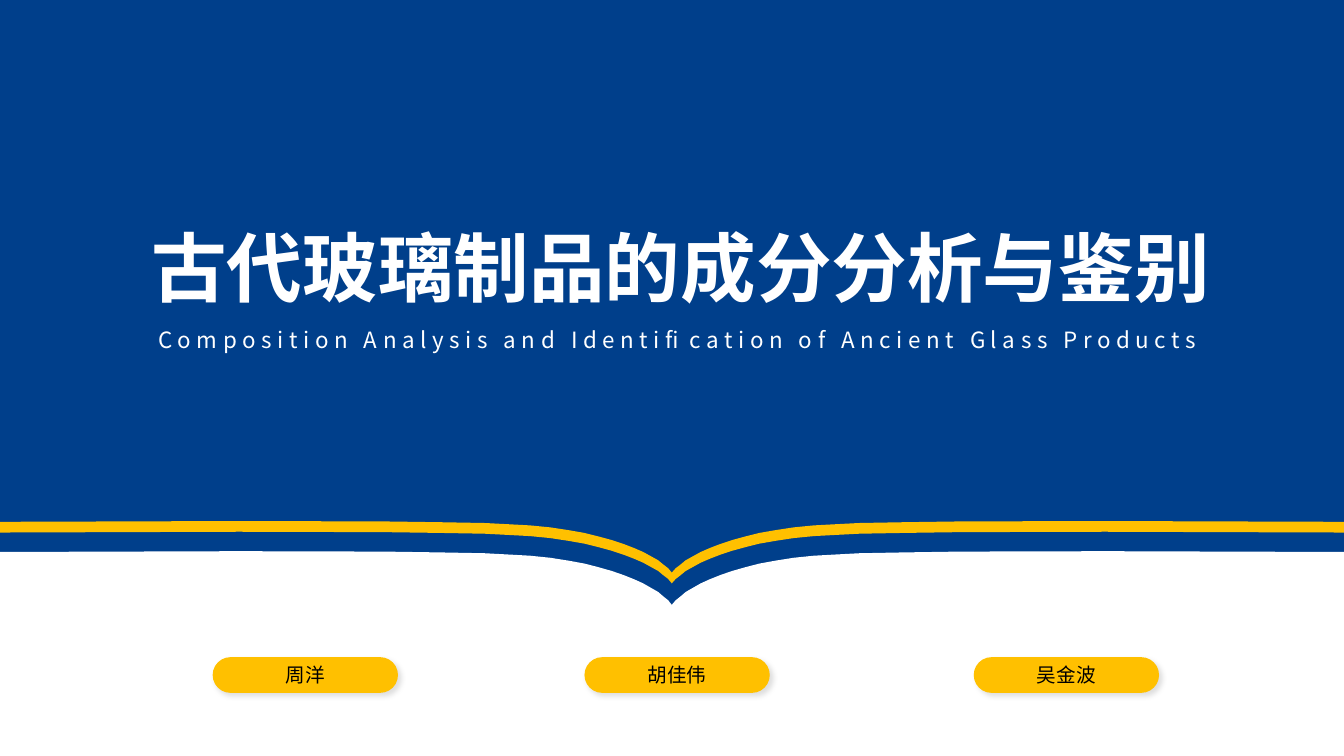
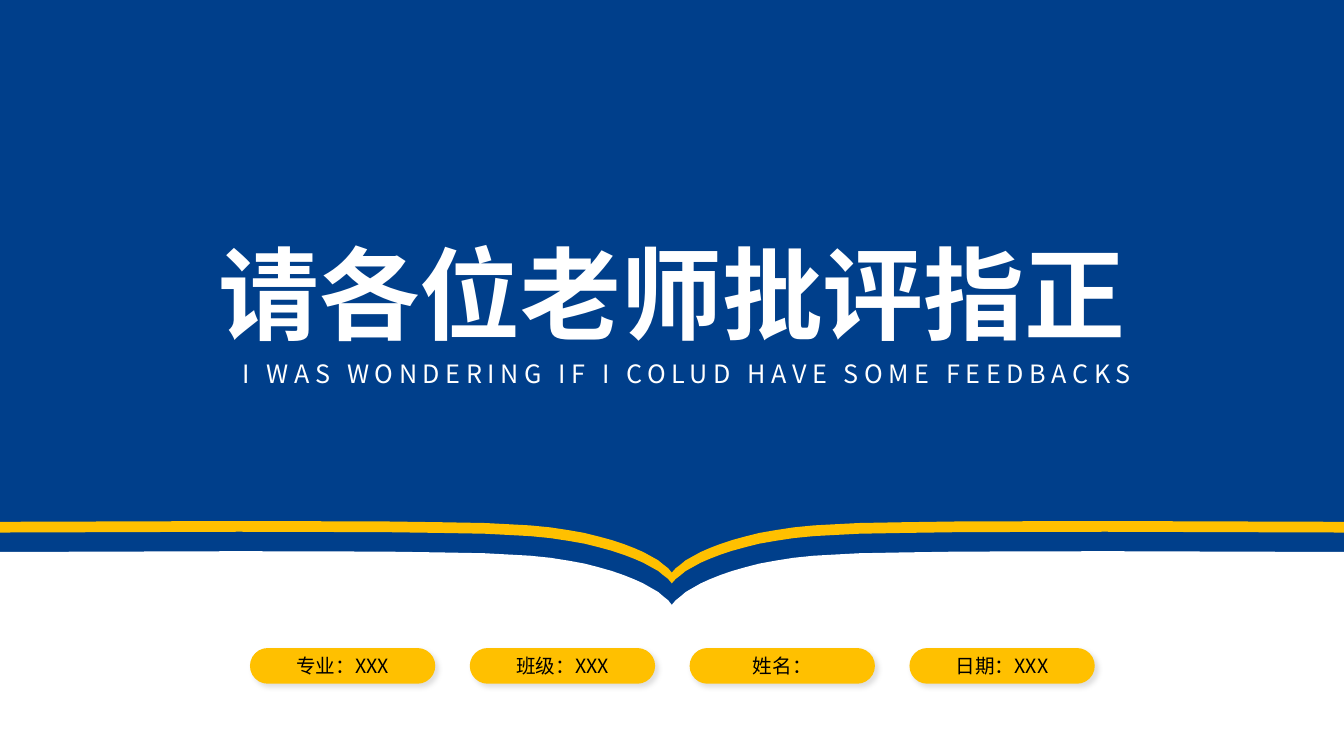
from dataclasses import dataclass

from lxml import etree
from pptx import Presentation
from pptx.dml.color import RGBColor
from pptx.enum import shapes, text
from pptx.oxml import ns
from pptx.util import Cm, Pt


@dataclass(frozen=True)
class Theme:
    blue: RGBColor = RGBColor(0x00, 0x3F, 0x8B)
    gold: RGBColor = RGBColor(0xFF, 0xC0, 0x00)
    white: RGBColor = RGBColor(0xFF, 0xFF, 0xFF)
    black: RGBColor = RGBColor(0x00, 0x00, 0x00)
    font: str = "Noto Sans CJK SC"
    label: int = 14
    track: int = 4


@dataclass(frozen=True)
class Box:
    left: float
    top: float
    width: float
    height: float


@dataclass(frozen=True)
class Line:
    words: str
    box: Box
    size: int


@dataclass(frozen=True)
class Page:
    title: Line
    sub: Line
    top: float
    pills: list[tuple[str, float]]


THEME = Theme()
WIDE, HIGH = 33.87, 19.05
PILL_W, PILL_H = 4.67, 0.9

# Left half of the open-book edge: x, and depth below its highest point
EDGE = [
    (0, 0.02), (6.02, 0), (9.68, 0.01), (11.1, 0.03), (12.22, 0.05),
    (12.8, 0.08), (13.36, 0.11), (13.87, 0.16), (14.33, 0.23),
    (14.73, 0.3), (15.09, 0.39), (15.42, 0.48), (15.72, 0.58),
    (15.98, 0.68), (16.21, 0.78), (16.41, 0.89), (16.59, 0.99),
    (16.71, 1.09), (16.84, 1.19), (16.93, 1.3),
]

PAGES = [
    Page(
        Line("古代玻璃制品的成分分析与鉴别", Box(3.18, 5.44, 27.94, 2.79), 54),
        Line("Composition Analysis and Identification of Ancient Glass Products",
             Box(1.47, 8.1, 31.24, 1.12), 16),
        16.56,
        [("周洋", 5.36), ("胡佳伟", 14.73), ("吴金波", 24.54)],
    ),
    Page(
        Line("请各位老师批评指正", Box(5.13, 5.72, 23.6, 3.33), 72),
        Line("I WAS WONDERING IF I COLUD HAVE SOME FEEDBACKS",
             Box(5.13, 8.89, 24.38, 1.02), 18),
        16.33,
        [(words, 6.3 + 5.54 * i) for i, words in
         enumerate(["专业：XXX", "班级：XXX", "姓名：", "日期：XXX"])],
    ),
]


def edge(top: float, scale: float = 1) -> list[tuple[float, float]]:
    """Return the full book edge, mirrored about the middle of the slide."""
    half = [(x, top + scale * deep) for x, deep in EDGE]
    return half + [(WIDE - x, y) for x, y in reversed(half[:-1])]


def band(slide, points: list[tuple[float, float]], fill: RGBColor):
    (x, y), *rest = [(Cm(x), Cm(y)) for x, y in points]
    pen = slide.shapes.build_freeform(x, y)
    pen.add_line_segments(rest)
    shape = pen.convert_to_shape()
    paint(shape, fill)
    return shape


def paint(shape, fill: RGBColor) -> None:
    shape.shadow.inherit = False
    shape.fill.solid()
    shape.fill.fore_color.rgb = fill
    shape.line.fill.background()


def write(frame, words: str, size: int, color: RGBColor,
          bold: bool = False, track: int = 0) -> None:
    frame.text = words
    para = frame.paragraphs[0]
    para.alignment = text.PP_ALIGN.CENTER
    para.space_before = Pt(0)
    font = para.font
    font.size, font.bold, font.name = Pt(size), bold, THEME.font
    font.color.rgb = color
    props = para._p.pPr.find(ns.qn("a:defRPr"))
    etree.SubElement(props, ns.qn("a:ea"), typeface=THEME.font)
    if track:
        props.set("spc", str(track * 100))


def place(holder, line: Line, wrap: bool = True,
          bold: bool = False, track: int = 0) -> None:
    """Move a placeholder to its box and fill it with white text."""
    box = line.box
    holder.left, holder.top = Cm(box.left), Cm(box.top)
    holder.width, holder.height = Cm(box.width), Cm(box.height)
    frame = holder.text_frame
    frame.auto_size = text.MSO_AUTO_SIZE.NONE
    frame.vertical_anchor = text.MSO_ANCHOR.TOP
    frame.word_wrap = wrap
    write(frame, line.words, line.size, THEME.white, bold, track)


def shade(shape) -> None:
    """Cast a faint shadow to the lower right."""
    effects = shape.element.spPr.find(ns.qn("a:effectLst"))
    cast = etree.SubElement(effects, ns.qn("a:outerShdw"), blurRad=str(Pt(4)),
                            dist=str(Pt(3)), dir="2700000", algn="tl",
                            rotWithShape="0")
    tint = etree.SubElement(cast, ns.qn("a:srgbClr"), val=str(THEME.black))
    etree.SubElement(tint, ns.qn("a:alpha"), val="13000")


def pill(slide, words: str, left: float, top: float) -> None:
    shape = slide.shapes.add_shape(
        shapes.MSO_SHAPE.ROUNDED_RECTANGLE,
        Cm(left), Cm(top), Cm(PILL_W), Cm(PILL_H))
    shape.adjustments[0] = 0.5
    paint(shape, THEME.gold)
    shade(shape)
    frame = shape.text_frame
    frame.margin_left = frame.margin_right = 0
    frame.margin_top = frame.margin_bottom = 0
    frame.vertical_anchor = text.MSO_ANCHOR.MIDDLE
    write(frame, words, THEME.label, THEME.black)


def dress(layout, slide) -> None:
    """Give the layout its blue ground and book, drawn by way of a slide."""
    back = layout.background.fill
    back.solid()
    back.fore_color.rgb = THEME.blue
    for holder in list(layout.placeholders):
        if holder.placeholder_format.idx >= 10:
            layout.shapes.element.remove(holder.element)
    leaf = edge(13.89, 1.04) + [(WIDE, HIGH), (0, HIGH)]
    rim = edge(13.13) + edge(13.4)[::-1]
    parts = [band(slide, leaf, THEME.white), band(slide, rim, THEME.gold)]
    for part in parts:
        layout.shapes.element.append(part.element)


def main() -> None:
    deck = Presentation()
    deck.slide_width, deck.slide_height = Cm(WIDE), Cm(HIGH)
    layout = deck.slide_layouts[0]
    for i, page in enumerate(PAGES):
        slide = deck.slides.add_slide(layout)
        if i == 0:
            dress(layout, slide)
        place(slide.shapes.title, page.title, wrap=False, bold=True)
        place(slide.placeholders[1], page.sub, track=THEME.track)
        for words, left in page.pills:
            pill(slide, words, left, page.top)
    deck.save("out.pptx")


if __name__ == "__main__":
    main()
